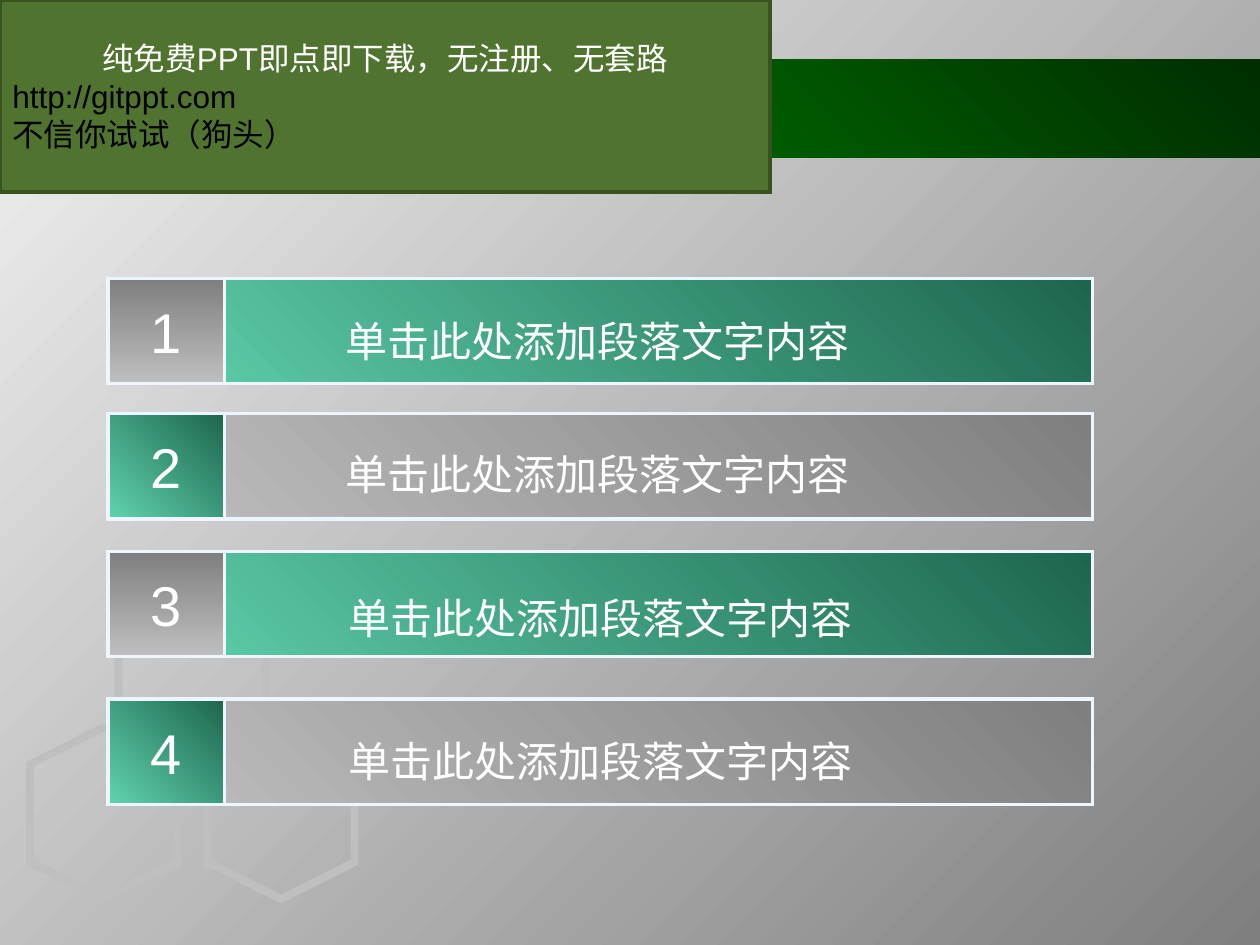
from dataclasses import dataclass

from lxml.etree import SubElement
from pptx import Presentation
from pptx.dml.color import RGBColor
from pptx.enum.shapes import MSO_SHAPE
from pptx.enum.text import MSO_ANCHOR, MSO_AUTO_SIZE, PP_ALIGN
from pptx.oxml.ns import qn
from pptx.util import Pt


@dataclass(frozen=True)
class Theme:
    """Colours, fonts and sizes of the slide."""
    backdrop: tuple = ("F2F2F2", "7F7F7F")
    band: tuple = ("002E00", "006300", "002E00")
    grey: tuple = ("7F7F7F", "BFBFBF")
    green: tuple = ("1D664E", "61D3AE")
    hexagon: str = "BFBFBF"
    border: str = "EDF6FF"
    panel: str = "50742F"
    panel_border: str = "385320"
    light_text: str = "FFFFFF"
    dark_text: str = "000000"
    latin_font: str = "Arial"
    body_font: str = "Noto Sans CJK SC"
    number_size: int = 32
    body_size: int = 24
    panel_size: int = 18
    border_width: int = 2
    hexagon_width: float = 4.5


class SlideBuilder:
    """Draws styled elements on one slide."""

    def __init__(self, slide, theme):
        self.slide = slide
        self.theme = theme

    def shape(self, box, preset=MSO_SHAPE.RECTANGLE, line=None, width=None):
        shape = self.slide.shapes.add_shape(preset, *map(Pt, box))
        shape.shadow.inherit = False
        shape.fill.background()
        if line:
            shape.line.color.rgb = RGBColor.from_string(line)
            shape.line.width = Pt(width or self.theme.border_width)
            outline = shape.element.spPr.find(qn("a:ln"))
            SubElement(outline, qn("a:miter"), lim="800000")
        else:
            shape.line.fill.background()
        return shape

    def gradient(self, box, colors, clockwise_angle, line=None):
        shape = self.shape(box, line=line)
        shape.fill.gradient()
        shape.fill.gradient_angle = (360 - clockwise_angle) % 360
        stops = shape.element.spPr.find(f".//{qn('a:gsLst')}")
        stops.clear()
        for index, color in enumerate(colors):
            position = str(100000 * index // (len(colors) - 1))
            stop = SubElement(stops, qn("a:gs"), pos=position)
            SubElement(stop, qn("a:srgbClr"), val=color)
        return shape

    def hexagon(self, left, top):
        shape = self.shape((left, top, 98, 84.2), MSO_SHAPE.HEXAGON,
                           self.theme.hexagon, self.theme.hexagon_width)
        shape.rotation = 90

    def run(self, paragraph, text, font, size, color):
        run = paragraph.add_run()
        run.text = text
        run.font.name = font
        run.font.size = Pt(size)
        run.font.color.rgb = RGBColor.from_string(color)
        SubElement(run.font._element, qn("a:ea"),
                   typeface=self.theme.body_font)

    def panel(self, box, lines):
        theme = self.theme
        shape = self.shape(box, line=theme.panel_border)
        shape.fill.solid()
        shape.fill.fore_color.rgb = RGBColor.from_string(theme.panel)
        frame = shape.text_frame
        frame.vertical_anchor = MSO_ANCHOR.MIDDLE
        for index, (text, alignment, color) in enumerate(lines):
            paragraph = frame.add_paragraph() if index else frame.paragraphs[0]
            paragraph.alignment = alignment
            self.run(paragraph, text, theme.latin_font, theme.panel_size, color)

    def bar(self, number, top, colors, number_colors, number_angle):
        theme = self.theme
        self.gradient((61.7, top, 562.5, 60.2), colors, 135, theme.border)
        cell = self.gradient((61.7, top, 66.5, 60.2), number_colors,
                             number_angle, theme.border)
        cell.text_frame.vertical_anchor = MSO_ANCHOR.MIDDLE
        paragraph = cell.text_frame.paragraphs[0]
        paragraph.alignment = PP_ALIGN.CENTER
        self.run(paragraph, str(number), theme.latin_font,
                 theme.number_size, theme.light_text)

    def label(self, text, left, top):
        theme = self.theme
        box = self.slide.shapes.add_textbox(*map(Pt, (left, top, 353.5, 41.8)))
        frame = box.text_frame
        frame.word_wrap = True
        frame.auto_size = MSO_AUTO_SIZE.SHAPE_TO_FIT_TEXT
        paragraph = frame.paragraphs[0]
        paragraph.line_spacing = 1.2
        self.run(paragraph, text, theme.body_font,
                 theme.body_size, theme.light_text)


def main():
    presentation = Presentation()
    presentation.slide_width = Pt(720)
    presentation.slide_height = Pt(540)
    slide = presentation.slides.add_slide(presentation.slide_layouts[6])
    theme = Theme()
    builder = SlideBuilder(slide, theme)

    builder.gradient((0, 0, 720, 540), theme.backdrop, 45)
    builder.gradient((0, 33.8, 720, 56.2), theme.band, 315)
    for left, top in ((10.1, 422.6), (60.8, 338.4), (111.5, 422.6)):
        builder.hexagon(left, top)

    rows = ((159.1, 190.5, 170.9), (236.4, 190.5, 247),
            (315.1, 192.2, 329), (399.5, 192.2, 410.7))
    for number, (top, label_left, label_top) in enumerate(rows, start=1):
        if number % 2:
            builder.bar(number, top, theme.green, theme.grey, 90)
        else:
            builder.bar(number, top, theme.grey, theme.green, 135)
        builder.label("单击此处添加段落文字内容", label_left, label_top)

    builder.panel((0, 0, 440, 109.8), (
        ("纯免费PPT即点即下载，无注册、无套路", PP_ALIGN.CENTER, theme.light_text),
        ("http://gitppt.com", PP_ALIGN.LEFT, theme.dark_text),
        ("不信你试试（狗头）", PP_ALIGN.LEFT, theme.dark_text),
    ))
    presentation.save("out.pptx")


if __name__ == "__main__":
    main()
